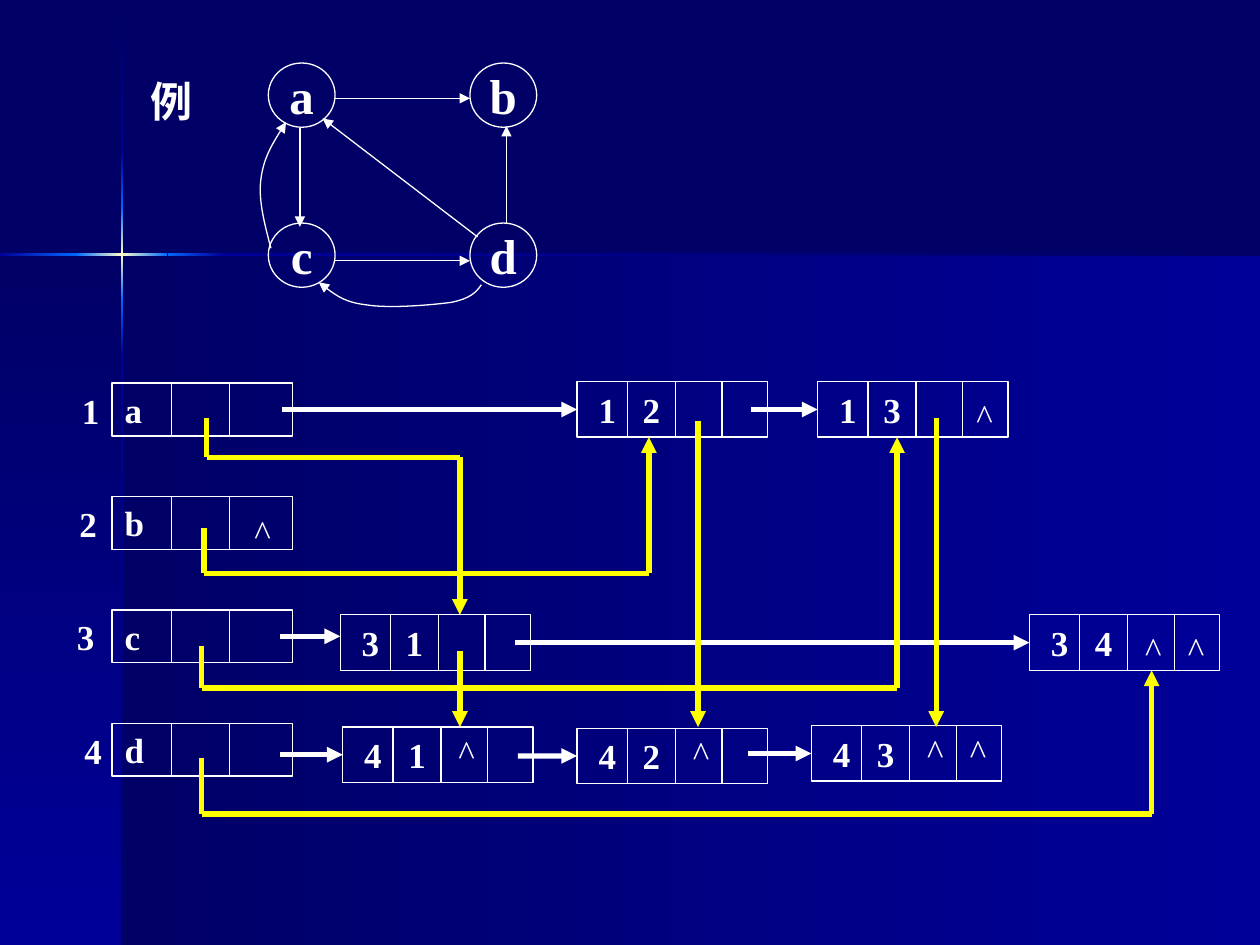
from dataclasses import dataclass
from itertools import pairwise

import pptx
import pptx.dml.color
import pptx.enum.shapes
import pptx.enum.text
import pptx.oxml
import pptx.oxml.ns
import pptx.util
from pptx.util import Inches

RECT = pptx.enum.shapes.MSO_SHAPE.RECTANGLE
OVAL = pptx.enum.shapes.MSO_SHAPE.OVAL
ALIGN = pptx.enum.text.PP_ALIGN
qn = pptx.oxml.ns.qn


@dataclass(frozen=True)
class Theme:
    font: str = "Times New Roman"
    ink: str = "FFFFFF"
    column_link: str = "FFFF00"
    night: str = "000066"
    navy: str = "000099"
    blue: str = "0066FF"
    glow: str = "FFFFCC"
    heading: int = 24
    vertex: int = 28
    cell: int = 20
    thin: float = 0.75
    thick: float = 3


@dataclass(frozen=True)
class Box:
    left: float
    top: float
    width: float
    height: float

    def inner(self, x, y, width, height):
        return Box(self.left + x, self.top + y, width, height)

    def point(self, x, y):
        return Inches(self.left + x), Inches(self.top + y)

    def lengths(self):
        return [Inches(v) for v in (self.left, self.top, self.width, self.height)]


THEME = Theme()


def rgb(color):
    return pptx.dml.color.RGBColor.from_string(color)


def xml(tag, **attributes):
    element = pptx.oxml.parse_xml(f"<{tag} {pptx.oxml.ns.nsdecls('a')}/>")
    for key, value in attributes.items():
        element.set(key, str(value))
    return element


def style_line(shape, color, weight, arrow):
    shape.line.color.rgb = rgb(color)
    shape.line.width = pptx.util.Pt(weight)
    if arrow:
        shape._element.spPr.find(qn("a:ln")).append(xml("a:tailEnd", type="triangle"))


def write(shape, text, size, align=ALIGN.CENTER, inset=0.0, bold=True, tab=None):
    frame = shape.text_frame
    frame.word_wrap = True
    frame.vertical_anchor = pptx.enum.text.MSO_ANCHOR.MIDDLE
    frame.margin_left, frame.margin_right = Inches(inset), 0
    paragraph = frame.paragraphs[0]
    paragraph.alignment = align
    if tab:
        stops = xml("a:tabLst")
        stops.append(xml("a:tab", pos=Inches(tab), algn="l"))
        paragraph._p.get_or_add_pPr().append(stops)
    run = paragraph.add_run()
    run.text = text
    run.font.name, run.font.size, run.font.bold = THEME.font, pptx.util.Pt(size), bold
    run.font.color.rgb = rgb(THEME.ink)


def add_label(slide, box, text, size=THEME.cell, **style):
    write(slide.shapes.add_textbox(*box.lengths()), text, size, **style)


def add_null(slide, node, x, y):
    add_label(slide, node.inner(x, y, 0.33, 0.43), "^",
              align=ALIGN.LEFT, inset=0.1, bold=False)


def add_outline(slide, kind, box):
    shape = slide.shapes.add_shape(kind, *box.lengths())
    shape.shadow.inherit = False
    shape.fill.background()
    style_line(shape, THEME.ink, THEME.thin, arrow=False)
    return shape


def add_line(slide, start, end, color=THEME.ink, weight=THEME.thin, arrow=False):
    line = slide.shapes.add_connector(
        pptx.enum.shapes.MSO_CONNECTOR.STRAIGHT, *start, *end)
    style_line(line, color, weight, arrow)
    line._element.spPr.append(xml("a:effectLst"))
    return line


def add_curve(slide, start, *controls):
    """Arrowed cubic curve; each three control points make one Bezier segment."""
    builder = slide.shapes.build_freeform(*start)
    builder.add_line_segments(controls, close=False)
    curve = builder.convert_to_shape()
    curve.shadow.inherit = False
    curve.fill.background()
    style_line(curve, THEME.ink, THEME.thin, arrow=True)
    steps = list(curve._element.iter(qn("a:lnTo")))
    for i in range(0, len(steps), 3):
        bezier = xml("a:cubicBezTo")
        steps[i].addprevious(bezier)
        for step in steps[i:i + 3]:
            bezier.append(step[0])
            step.getparent().remove(step)


def add_gradient(slide, box, colors, angle):
    """Rectangle with evenly spaced colors; angle turns clockwise."""
    panel = slide.shapes.add_shape(RECT, *box.lengths())
    panel.shadow.inherit = False
    panel.line.fill.background()
    panel.fill.gradient()
    panel.fill.gradient_angle = -angle % 360
    stops = next(panel._element.iter(qn("a:gsLst")))
    for stop in list(stops):
        stops.remove(stop)
    for i, color in enumerate(colors):
        stop = xml("a:gs", pos=100000 * i // (len(colors) - 1))
        stop.append(xml("a:srgbClr", val=color))
        stops.append(stop)


def add_backdrop(slide, box):
    t = THEME
    cross_x, cross_y = 0.97, 2.02
    slide.background.fill.solid()
    slide.background.fill.fore_color.rgb = rgb(t.night)
    below = box.height - cross_y
    dusk = (t.night, t.navy)
    add_gradient(slide, box.inner(cross_x, cross_y, box.width - cross_x, below), dusk, 0)
    add_gradient(slide, box.inner(0, cross_y, cross_x, below), dusk, 90)
    rise, flare, fall = (t.navy, t.blue), (t.blue, t.glow, t.blue), (t.blue, t.navy)
    fade = (t.navy, t.night)
    upright = [(0, 1.21, dusk), (2.82, box.height, fade), (2.38, 2.82, fall),
               (1.21, 1.65, rise), (1.65, 2.38, flare)]
    for top, bottom, colors in upright:
        add_gradient(slide, box.inner(cross_x - 0.01, top, 0.02, bottom - top), colors, 90)
    level = [(1.77, box.width, fade), (0, 0.61, rise), (1.33, 1.77, fall),
             (0.6, 1.33, flare)]
    for left, right, colors in level:
        add_gradient(slide, box.inner(left, cross_y - 0.01, right - left, 0.02), colors, 0)


def add_graph(slide, box):
    for i, name in enumerate("abcd"):
        row, column = divmod(i, 2)
        vertex = box.inner(1.6 * column, 1.27 * row, 0.53, 0.51)
        write(add_outline(slide, OVAL, vertex), name, THEME.vertex)
    edges = [((0.52, 0.28), (1.6, 0.28)), ((0.52, 1.57), (1.6, 1.57)),
             ((0.25, 0.52), (0.25, 1.3)), ((1.66, 1.38), (0.43, 0.44)),
             ((1.89, 1.28), (1.89, 0.5))]
    for start, end in edges:
        add_line(slide, box.point(*start), box.point(*end), arrow=True)
    d_to_c = [(1.69, 1.76), (1.65, 1.82), (1.6, 1.87), (1.45, 1.9), (1.3, 1.92),
              (0.96, 1.95), (0.78, 1.92), (0.61, 1.9), (0.5, 1.82), (0.4, 1.74)]
    c_to_a = [(0.02, 1.47), (-0.03, 1.28), (-0.08, 1.09), (-0.06, 0.93),
              (-0.04, 0.76), (0.05, 0.61), (0.14, 0.47)]
    for arc in (d_to_c, c_to_a):
        add_curve(slide, *(box.point(*p) for p in arc))


def add_record(slide, box, text, dividers, inset, tab=None):
    record = add_outline(slide, RECT, box)
    write(record, text, THEME.cell, align=ALIGN.LEFT, inset=inset, tab=tab)
    for x in dividers:
        add_line(slide, box.point(x, 0), box.point(x, box.height))
    return record


def add_orthogonal_list(slide, box):
    for i, (name, number_x) in enumerate(zip("abcd", (0.05, 0.03, 0.01, 0.07))):
        head = box.inner(0.39, 0.04 + 0.9 * i, 1.43, 0.42)
        add_record(slide, head, name, (0.47, 0.93), inset=0.1)
        add_label(slide, box.inner(number_x, 0.04 + 0.9 * i, 0.34, 0.43), str(i + 1))
        if name == "b":
            add_null(slide, head, 1.03, 0.06)

    column_null, row_null = 0.82, 1.16
    # (tail, head): left, top, null cells, then where the row link into it starts
    arcs = {(1, 2): (4.08, 0.03, (), 1.74),
            (1, 3): (5.99, 0.03, (row_null,), 5.46),
            (3, 1): (2.2, 1.88, (), None),
            (3, 4): (7.67, 1.88, (column_null, row_null), 3.59),
            (4, 1): (2.22, 2.77, (column_null,), 1.72),
            (4, 2): (4.08, 2.78, (column_null,), 3.61),
            (4, 3): (5.94, 2.76, (column_null, row_null), 5.44)}
    row_link = dict(weight=THEME.thick, arrow=True)
    for (tail, head), (x, y, nulls, link_x) in arcs.items():
        node = box.inner(x, y, 1.51, 0.44)
        record = add_record(slide, node, f"{tail}\t{head}", (0.4, 0.78, 1.15),
                            inset=0.17, tab=0.35)
        for null_x in nulls:
            add_null(slide, node, null_x, -0.02 if tail == 4 else 0.05)
        if link_x is not None:
            middle = y + node.height / 2
            link = add_line(slide, box.point(link_x, middle), box.point(x, middle),
                            **row_link)
            link.end_connect(record, 1)
    add_line(slide, box.point(1.72, 2.05), box.point(2.2, 2.05), **row_link)

    column_links = [[(1.14, 0.32), (1.14, 0.63), (3.15, 0.63), (3.15, 1.88)],
                    [(1.12, 1.19), (1.12, 1.55), (4.65, 1.55), (4.65, 0.47)],
                    [(1.1, 2.13), (1.1, 2.46), (6.62, 2.46), (6.62, 0.47)],
                    [(1.1, 3.02), (1.1, 3.46), (8.64, 3.46), (8.64, 2.32)],
                    [(3.15, 2.17), (3.15, 2.77)],
                    [(5.04, 0.34), (5.04, 2.77)],
                    [(6.93, 0.32), (6.93, 2.77)]]
    for corners in column_links:
        for start, end in pairwise(corners):
            add_line(slide, box.point(*start), box.point(*end), THEME.column_link,
                     THEME.thick, arrow=end == corners[-1])


def main():
    deck = pptx.Presentation()
    deck.slide_width, deck.slide_height = Inches(10), Inches(7.5)
    slide = deck.slides.add_slide(deck.slide_layouts[6])
    add_backdrop(slide, Box(0, 0, 10, 7.5))
    add_label(slide, Box(1.09, 0.55, 0.54, 0.5), "例", THEME.heading)
    add_graph(slide, Box(2.13, 0.5, 2.13, 1.96))
    add_orthogonal_list(slide, Box(0.5, 3, 9.2, 3.5))
    deck.save("out.pptx")


if __name__ == "__main__":
    main()
